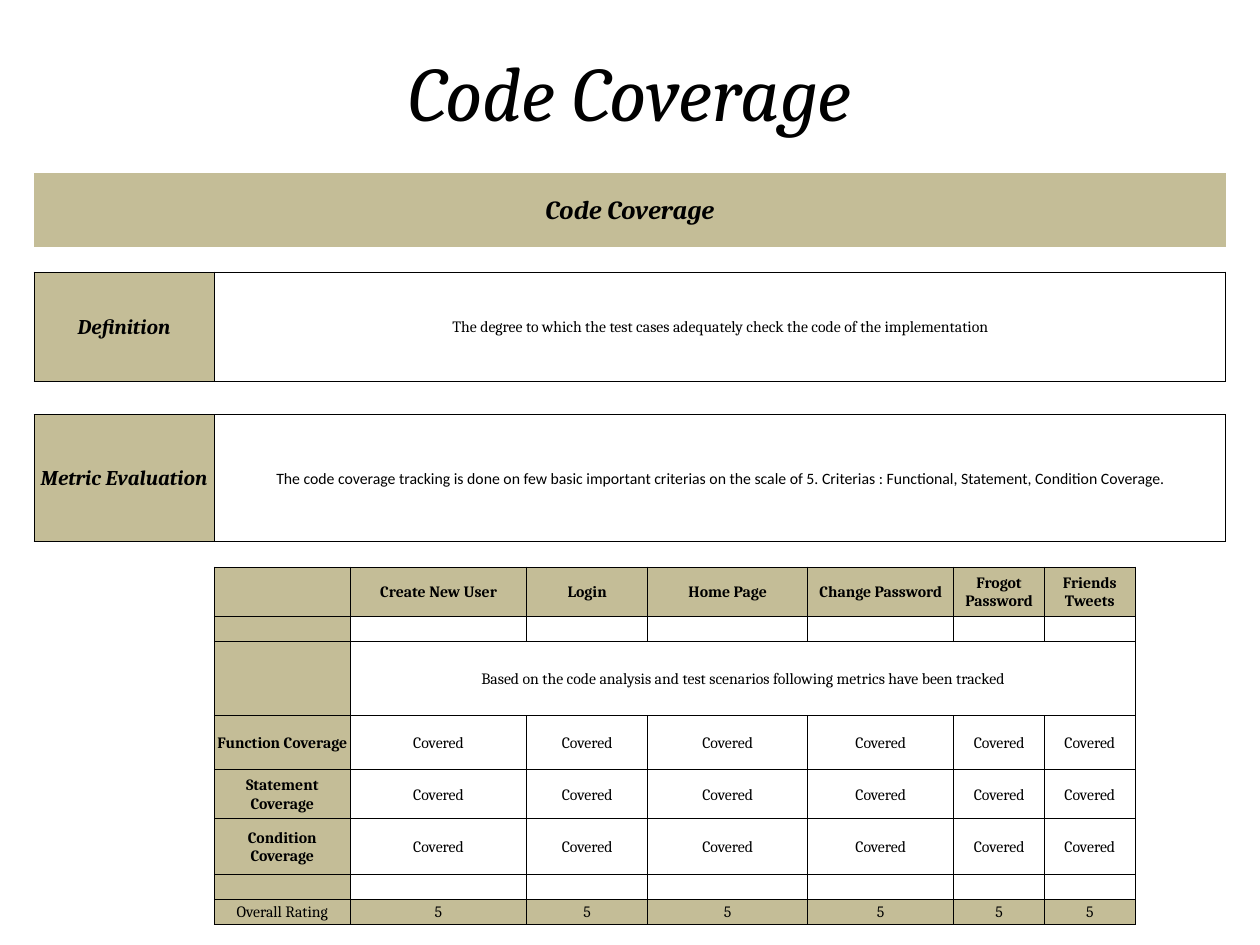
from lxml.etree import SubElement
from pptx import Presentation
from pptx.dml.color import RGBColor
from pptx.enum.text import MSO_ANCHOR, PP_ALIGN
from pptx.oxml.ns import qn
from pptx.util import Inches, Pt

BLACK = RGBColor(0x00, 0x00, 0x00)
WHITE = RGBColor(0xFF, 0xFF, 0xFF)
TAN = RGBColor(0xC4, 0xBD, 0x97)

# Content
TITLE = "Code Coverage"
DEFINITION = "The degree to which the test cases adequately check the code of the implementation"
EVALUATION = ("The code coverage tracking is done on few basic important criterias on the scale of 5. "
              "Criterias : Functional, Statement, Condition Coverage.")
TRACKED = "Based on the code analysis and test scenarios following metrics have been tracked"
FEATURES = ["Create New User", "Login", "Home Page", "Change Password",
            "Frogot Password", "Friends Tweets"]
CRITERIA = ["Function Coverage", "Statement Coverage", "Condition Coverage"]

COLS = [1.43, 1.08, 1.4, 0.96, 1.27, 1.16, 0.72, 0.72, 0.72]
ROWS = [0.59, 0.2, 0.87, 0.26, 1.01, 0.2, 0.39, 0.2, 0.59, 0.43, 0.39, 0.44, 0.2, 0.2]
BOX_ROWS = (2, 4)
GRID_TOP, GRID_LAST_COL = 6, 7
SPANS = [(0, 0, 8), (2, 1, 8), (4, 1, 8), (8, 2, 7)]
EDGES = {"a:lnL": (0, -1), "a:lnR": (0, 1), "a:lnT": (-1, 0), "a:lnB": (1, 0)}

LABEL = dict(size=12, bold=True, italic=True)
texts = {
    (0, 0): (TITLE, dict(size=15, bold=True, italic=True)),
    (2, 0): ("Definition", LABEL),
    (2, 1): (DEFINITION, {}),
    (4, 0): ("Metric Evaluation", LABEL),
    (4, 1): (EVALUATION, dict(font="Calibri")),
    (8, 2): (TRACKED, {}),
    (13, 1): ("Overall Rating", {}),
}
for c, feature in enumerate(FEATURES, 2):
    texts[6, c] = (feature, dict(bold=True))
    texts[13, c] = ("5", {})
    for r in range(9, 12):
        texts[r, c] = ("Covered", {})
for r, criterion in enumerate(CRITERIA, 9):
    texts[r, 1] = (criterion, dict(bold=True))


def add_text(tf, text, font="Cambria", size=9, bold=False, italic=False):
    p = tf.paragraphs[0]
    p.alignment = PP_ALIGN.CENTER
    r = p.add_run()
    r.text = text
    r.font.name, r.font.size = font, Pt(size)
    r.font.bold, r.font.italic = bold, italic
    r.font.color.rgb = BLACK


def is_boxed(r, c):
    if r in BOX_ROWS:
        return 0 <= c < len(COLS)
    return GRID_TOP <= r < len(ROWS) and 1 <= c <= GRID_LAST_COL


def is_tan(r, c):
    return (r == 0 or (r in BOX_ROWS and c == 0)
            or (is_boxed(r, c) and r >= GRID_TOP and (c == 1 or r in (6, 13))))


def add_borders(cell, r, c):
    tcPr = cell._tc.get_or_add_tcPr()
    for tag, (dr, dc) in EDGES.items():
        ln = SubElement(tcPr, qn(tag), w=str(Pt(0.5)))
        if is_boxed(r, c) or is_boxed(r + dr, c + dc):
            fill = SubElement(ln, qn("a:solidFill"))
            SubElement(fill, qn("a:srgbClr"), val=str(BLACK))
        else:
            SubElement(ln, qn("a:noFill"))


prs = Presentation()
prs.slide_width, prs.slide_height = Inches(10), Inches(7.5)
s = prs.slides.add_slide(prs.slide_layouts[5])

# Title
title = s.shapes.title
title.left, title.top = Inches(0.5), Inches(0.3)
title.width, title.height = Inches(9), Inches(0.84)
title.text_frame.vertical_anchor = MSO_ANCHOR.MIDDLE
add_text(title.text_frame, TITLE, size=44, italic=True)

# Table
frame = s.shapes.add_table(len(ROWS), len(COLS), Inches(0.27), Inches(1.37),
                           Inches(sum(COLS)), Inches(sum(ROWS)))
table = frame.table
table.first_row = table.horz_banding = False
for col, width in zip(table.columns, COLS):
    col.width = Inches(width)
for row, height in zip(table.rows, ROWS):
    row.height = Inches(height)

# Cells
for r in range(len(ROWS)):
    for c in range(len(COLS)):
        cell = table.cell(r, c)
        cell.margin_left = cell.margin_right = cell.margin_top = Inches(0.01)
        cell.margin_bottom = 0
        cell.vertical_anchor = MSO_ANCHOR.MIDDLE
        add_borders(cell, r, c)
        if is_tan(r, c) or (r, c) == (4, 1):
            cell.fill.solid()
            cell.fill.fore_color.rgb = TAN if is_tan(r, c) else WHITE
        else:
            cell.fill.background()
        if (r, c) in texts:
            text, style = texts[r, c]
            add_text(cell.text_frame, text, **style)
        else:
            # Small empty text keeps the narrow rows at their height
            SubElement(cell.text_frame.paragraphs[0]._p, qn("a:endParaRPr"), sz="900")

for r, first, last in SPANS:
    table.cell(r, first).merge(table.cell(r, last))

prs.save("out.pptx")
